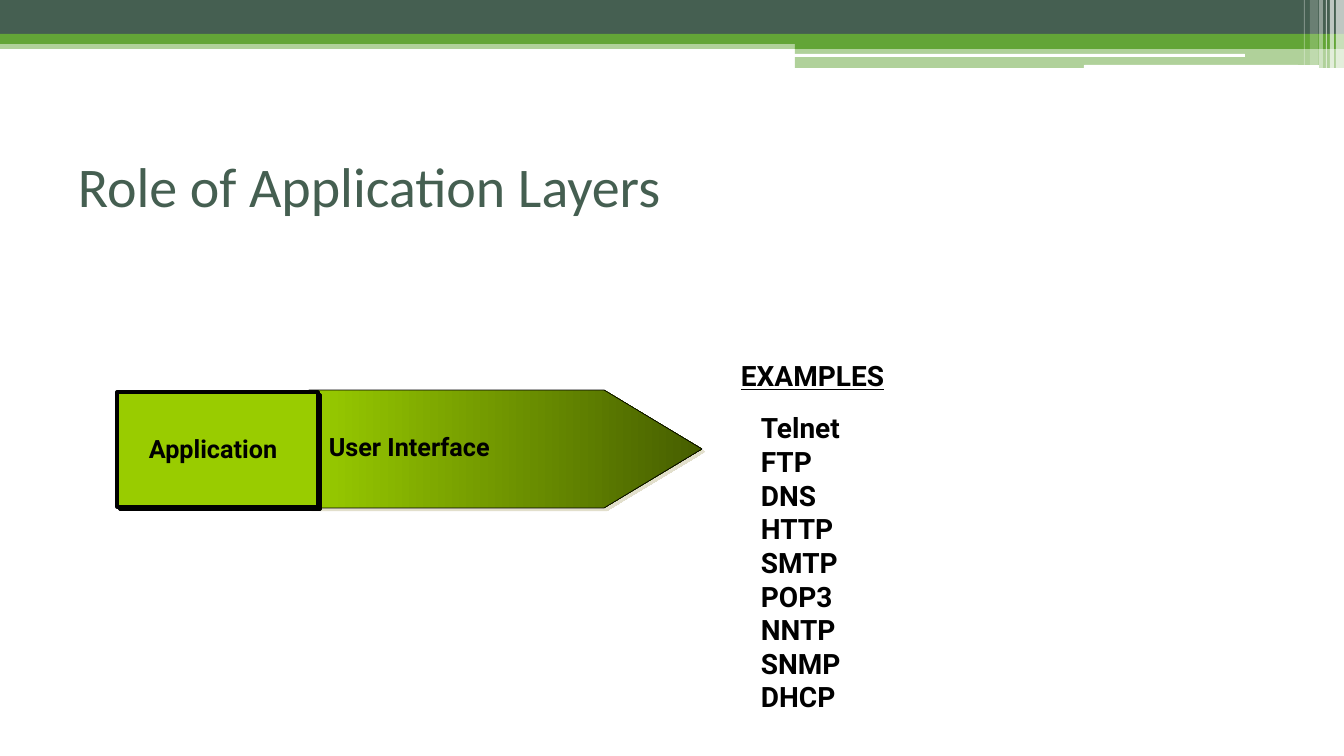
from lxml import etree
from pptx import Presentation, util as u
from pptx.dml.color import RGBColor
from pptx.enum import shapes, text
from pptx.oxml import ns

PX = 914400 / 100.8
COLORS = {
    "pine": "455F51", "green": "63A537", "white": "FFFFFF", "black": "000000",
    "lime": "99CC00", "olive": "465E00", "sand": "E2DFCC",
}
KINDS = shapes.MSO_SHAPE

presentation = Presentation()
presentation.slide_width = round(1344 * PX)
presentation.slide_height = round(756 * PX)
slide = presentation.slides.add_slide(presentation.slide_layouts[6])


def add_box(box, color, kind=KINDS.RECTANGLE, opacity=100, line=None, shadow=None):
    shape = slide.shapes.add_shape(kind, *[round(length * PX) for length in box])
    shape.fill.solid()
    shape.fill.fore_color.rgb = RGBColor.from_string(COLORS[color])
    if opacity < 100:
        fill_color = shape.fill._xPr.find(".//" + ns.qn("a:srgbClr"))
        etree.SubElement(fill_color, ns.qn("a:alpha"), val=str(opacity * 1000))
    if line:
        shape.line.color.rgb = RGBColor.from_string(COLORS["black"])
        shape.line.width = u.Pt(line)
    else:
        shape.line.fill.background()
    shape.shadow.inherit = False
    if shadow:
        effects = shape._element.spPr.find(ns.qn("a:effectLst"))
        outer = etree.SubElement(effects, ns.qn("a:outerShdw"), blurRad="0",
                                 dist=str(u.Pt(2.8)), dir="2700000", algn="ctr", rotWithShape="0")
        etree.SubElement(outer, ns.qn("a:srgbClr"), val=COLORS[shadow])
    return shape


def add_text(content, box, size, font="Roboto", color="black", bold=True,
             underline=False, wrap=True, anchor=text.MSO_ANCHOR.MIDDLE):
    frame = slide.shapes.add_textbox(*[round(length * PX) for length in box]).text_frame
    frame.word_wrap = wrap
    frame.vertical_anchor = anchor
    frame.text = content
    for paragraph in frame.paragraphs:
        for run in paragraph.runs:
            run.font.name = font
            run.font.size = u.Pt(size)
            run.font.bold = bold
            run.font.underline = underline
            run.font.color.rgb = RGBColor.from_string(COLORS[color])


# Header bands
for box, color, opacity in [
    ((0, 40, 1344, 9), "green", 50),
    ((0, 0, 1344, 34), "pine", 100),
    ((0, 34, 1344, 10), "green", 100),
    ((795, 39, 549, 10), "green", 100),
    ((795, 48, 549, 20), "green", 50),
]:
    add_box(box, color, opacity=opacity)

# White rules over the bands
for box in [(794, 54, 451, 3), (1084, 65, 235, 4)]:
    add_box(box, "white", KINDS.ROUNDED_RECTANGLE)

# Pale stripes at the right edge
for left, width, height, opacity in [
    (1336, 8, 68, 65), (1330, 4, 68, 65), (1326, 1, 68, 60),
    (1319, 4, 68, 40), (1310, 8, 65, 20), (1304, 1, 65, 30),
]:
    add_box((left, 0, width, height), "white", opacity=opacity)

# Title
add_text("Role of Application Layers", (68, 126, 1210, 118), 40,
         font="Calibri", color="pine", bold=False)

# Interface arrow
arrow = add_box((309, 390, 393, 118), "lime", KINDS.PENTAGON, line=0.5, shadow="sand")
arrow.adjustments[0] = 0.83
arrow.fill.gradient()
arrow.fill.gradient_angle = 0
for stop, color, position in zip(arrow.fill.gradient_stops, ("lime", "olive"), (0, 1)):
    stop.color.rgb = RGBColor.from_string(COLORS[color])
    stop.position = position
add_text("User Interface", (319, 426, 354, 40), 18)

# Application box
add_box((117, 392, 201, 115), "lime", line=2.25, shadow="black")
add_text("Application", (139, 428, 157, 40), 18, wrap=False, anchor=text.MSO_ANCHOR.TOP)

# Protocol examples
add_text("EXAMPLES", (731, 354, 199, 43), 20, underline=True)
protocols = ["Telnet", "FTP", "DNS", "HTTP", "SMTP", "POP3", "NNTP", "SNMP", "DHCP"]
add_text("\n".join(protocols), (751, 406, 199, 350), 20, anchor=text.MSO_ANCHOR.TOP)

presentation.save("out.pptx")
